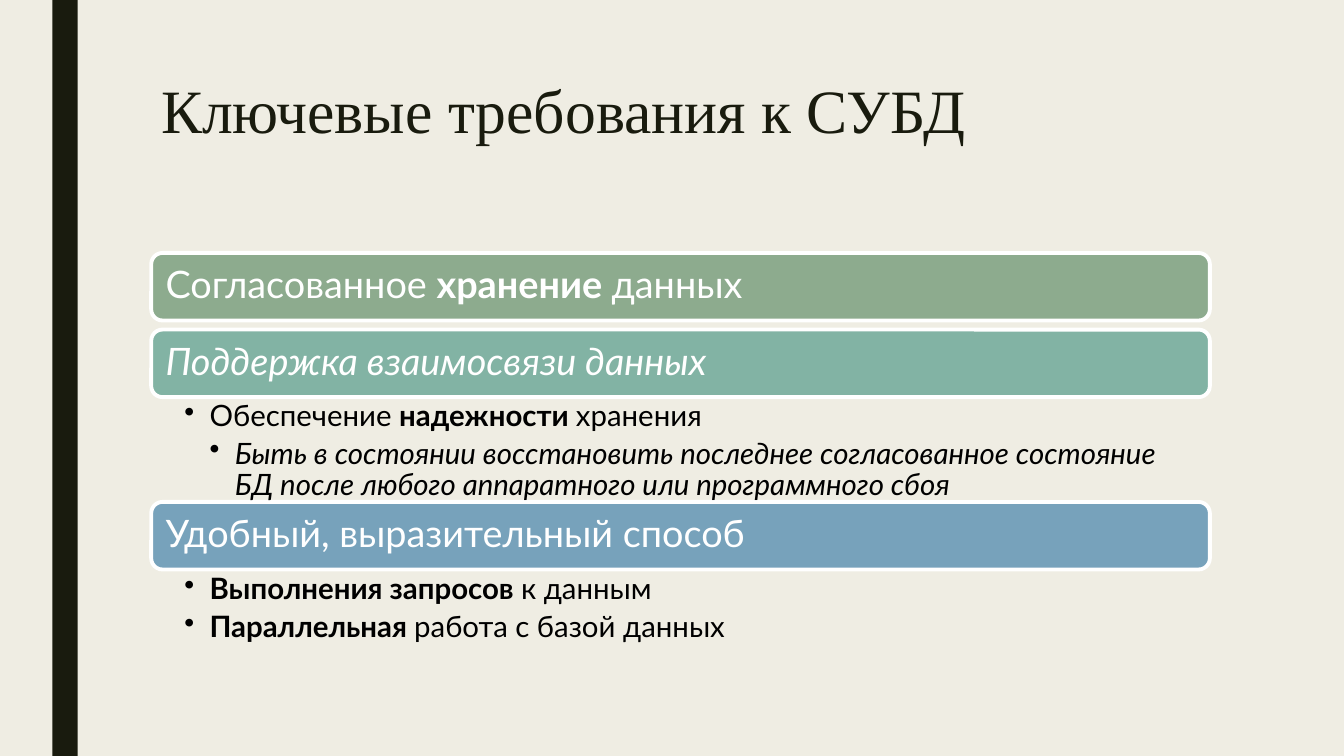
from lxml import etree
from pptx import Presentation
from pptx.dml.color import RGBColor
from pptx.enum.shapes import MSO_SHAPE
from pptx.enum.text import MSO_ANCHOR, PP_ALIGN
from pptx.oxml.ns import qn
from pptx.util import Inches, Pt

RECT = MSO_SHAPE.RECTANGLE
ROUND = MSO_SHAPE.ROUNDED_RECTANGLE
TOP, MIDDLE = MSO_ANCHOR.TOP, MSO_ANCHOR.MIDDLE
LEFT = PP_ALIGN.LEFT
DARK, WHITE, BLACK = "191B0E", "FFFFFF", "000000"
X, W, BAR_H = 1.5, 10.5, 0.67
BOLD, ITALIC = {"bold": True}, {"italic": True}

BARS = [
    (2.51, "8DAB8E", [("Согласованное ", {}), ("хранение ", BOLD), ("данных", {})]),
    (3.27, "82B3A4", [("Поддержка взаимосвязи данных", ITALIC)]),
    (4.98, "77A2BB", [("Удобный, выразительный способ", {})]),
]
LISTS = [
    (3.94, 1.04, [
        (1, [("Обеспечение ", {}), ("надежности ", BOLD), ("хранения", {})]),
        (2, [("Быть в состоянии восстановить последнее согласованное состояние "
              "БД после любого аппаратного или программного сбоя", ITALIC)]),
    ]),
    (5.66, 0.75, [
        (1, [("Выполнения запросов ", BOLD), ("к данным", {})]),
        (1, [("Параллельная ", BOLD), ("работа с базой данных", {})]),
    ]),
]


def rgb(color):
    return RGBColor.from_string(color)


class Deck:
    """Hold the style and the current slide and draw each kind of element."""

    def __init__(self, prs, background):
        self.s = prs.slides.add_slide(prs.slide_layouts[6])
        self.s.background.fill.solid()
        self.s.background.fill.fore_color.rgb = rgb(background)

    def frame(self, sp, insets, anchor):
        tf = sp.text_frame
        sides = ("margin_left", "margin_top", "margin_right", "margin_bottom")
        for side, inset in zip(sides, insets):
            setattr(tf, side, Inches(inset))
        tf.word_wrap = True
        tf.vertical_anchor = anchor
        return tf

    def add_runs(self, p, runs, size, color, font="Lato"):
        p.alignment = LEFT
        p.line_spacing = 0.9
        for text, style in runs:
            r = p.add_run()
            r.text = text
            for name, value in {"name": font, "size": Pt(size), **style}.items():
                setattr(r.font, name, value)
            r.font.color.rgb = rgb(color)

    def shape(self, kind, x, y, w, h, fill, line=None):
        sp = self.s.shapes.add_shape(kind, Inches(x), Inches(y), Inches(w), Inches(h))
        sp.shadow.inherit = False
        sp.fill.solid()
        sp.fill.fore_color.rgb = rgb(fill)
        if line:
            sp.line.color.rgb = rgb(line)
            sp.line.width = Pt(2.75)
        else:
            sp.line.fill.background()
        return sp

    def textbox(self, x, y, w, h, insets):
        sp = self.s.shapes.add_textbox(Inches(x), Inches(y), Inches(w), Inches(h))
        return self.frame(sp, insets, TOP)

    def title(self, text):
        tf = self.textbox(X, 0.75, W, 1.62, (0.1, 0.05, 0.1, 0.05))
        self.add_runs(tf.paragraphs[0], [(text, {})], 44, DARK, "Times New Roman")

    def bar(self, y, fill, runs):
        sp = self.shape(ROUND, X, y, W, BAR_H, fill, WHITE)
        tf = self.frame(sp, (0.11, 0.11, 0.11, 0.11), MIDDLE)
        self.add_runs(tf.paragraphs[0], runs, 27, WHITE)

    def bullets(self, y, h, items):
        tf = self.textbox(X, y, W, h, (0.33, 0.04, 0.21, 0.04))
        for i, (level, runs) in enumerate(items):
            p = tf.add_paragraph() if i else tf.paragraphs[0]
            self.add_runs(p, runs, 21, BLACK)
            p.level = level
            p.space_after = Pt(4.2)
            pPr = p._p.get_or_add_pPr()
            pPr.set("marL", str(Inches(0.25 * level)))
            pPr.set("indent", str(Inches(-0.25)))
            etree.SubElement(pPr, qn("a:buChar")).set("char", "•")


def main():
    prs = Presentation()
    prs.slide_width, prs.slide_height = Inches(13.33), Inches(7.5)
    deck = Deck(prs, "EFEDE3")
    deck.shape(RECT, 0.52, 0, 0.25, 7.5, DARK)
    deck.title("Ключевые требования к СУБД")
    for bar in BARS:
        deck.bar(*bar)
    for block in LISTS:
        deck.bullets(*block)
    prs.save("out.pptx")


if __name__ == "__main__":
    main()
